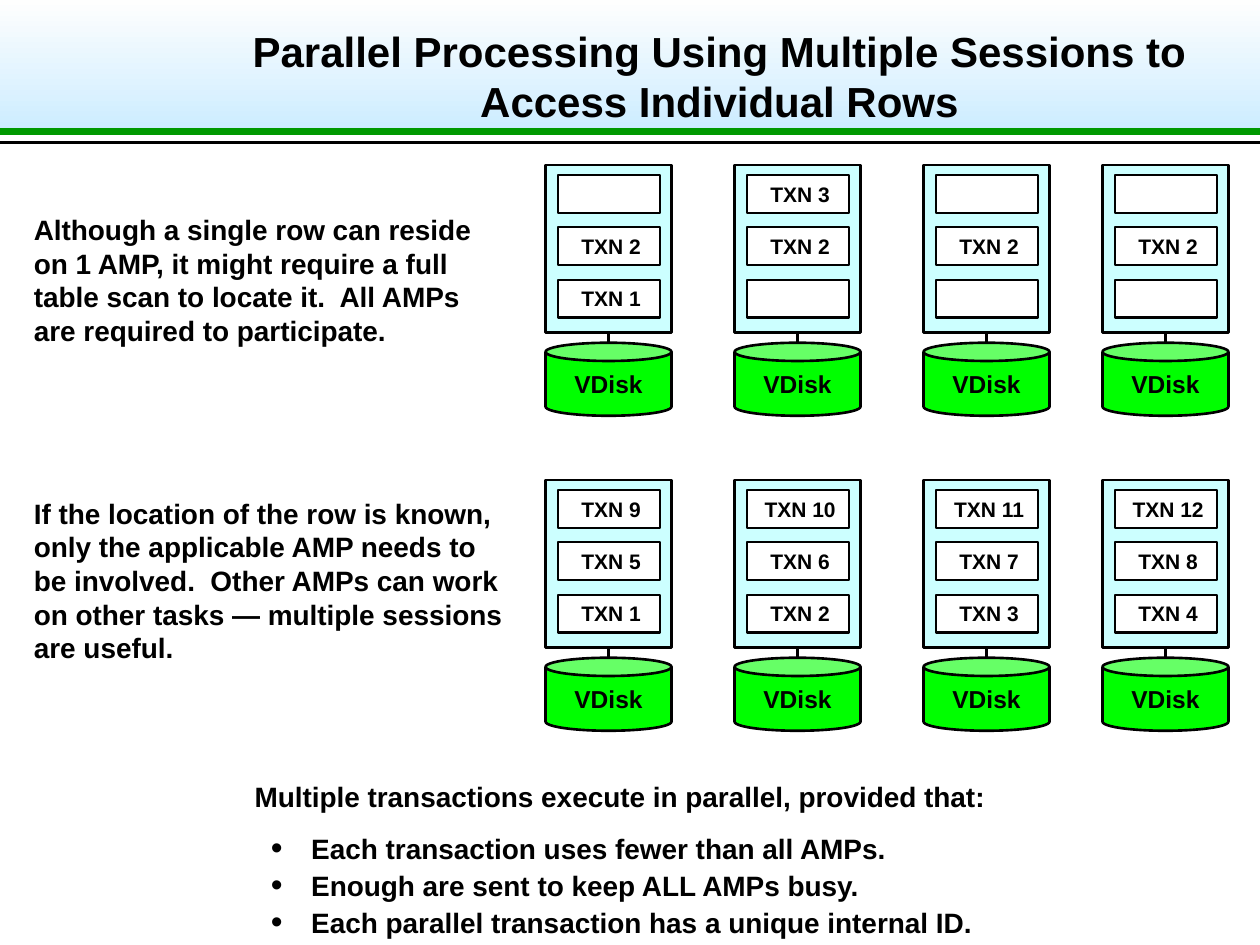
from lxml.etree import SubElement
from pptx import Presentation
from pptx.dml.color import RGBColor
from pptx.enum.shapes import MSO_CONNECTOR, MSO_SHAPE
from pptx.enum.text import MSO_ANCHOR, MSO_AUTO_SIZE, PP_ALIGN
from pptx.oxml.ns import qn
from pptx.util import Inches, Pt

BLACK = RGBColor(0x00, 0x00, 0x00)
WHITE = RGBColor(0xFF, 0xFF, 0xFF)
BAND_TOP = RGBColor(0xFE, 0xFE, 0xFE)
BAND_BOTTOM = RGBColor(0xCC, 0xEC, 0xFF)
RULE_GREEN = RGBColor(0x00, 0x99, 0x00)
AMP_CYAN = RGBColor(0xCC, 0xFF, 0xFF)
DISK_GREEN = RGBColor(0x00, 0xFF, 0x00)

TITLE = "Parallel Processing Using Multiple Sessions to Access Individual Rows"
CONDITIONS_INTRO = "Multiple transactions execute in parallel, provided that:"
CONDITIONS = [
    "Each transaction uses fewer than all AMPs.",
    "Enough are sent to keep ALL AMPs busy.",
    "Each parallel transaction has a unique internal ID.",
]
# Each scenario: top of its AMPs, note, note box, and the slots of each AMP from top to bottom
SCENARIOS = [
    (1.31,
     "Although a single row can reside on 1 AMP, it might require a full table scan "
     "to locate it.  All AMPs are required to participate.",
     (0.17, 1.64, 3.83, 1.17),
     [("", "TXN 2", "TXN 1"), ("TXN 3", "TXN 2", ""), ("", "TXN 2", ""), ("", "TXN 2", "")]),
    (3.81,
     "If the location of the row is known, only the applicable AMP needs to be involved.  "
     "Other AMPs can work on other tasks — multiple sessions are useful.",
     (0.17, 3.89, 3.92, 1.44),
     [("TXN 9", "TXN 5", "TXN 1"), ("TXN 10", "TXN 6", "TXN 2"),
      ("TXN 11", "TXN 7", "TXN 3"), ("TXN 12", "TXN 8", "TXN 4")]),
]
AMP_LEFTS = [4.33, 5.83, 7.33, 8.75]
AMP_W, AMP_H = 1, 1.33
SLOT_W, SLOT_H = 0.81, 0.3
SLOT_DX, SLOT_DY, SLOT_PITCH = 0.1, 0.08, 0.415
DISK_GAP, DISK_H = 0.08, 0.58


def place(shape, *box):
    shape.left, shape.top, shape.width, shape.height = map(Inches, box)


def add_run(p, text, size):
    r = p.add_run()
    r.text = text
    r.font.name = "Arial"
    r.font.size = Pt(size)
    r.font.bold = True
    r.font.color.rgb = BLACK


def add_box(s, kind, box, fill, weight, text="", size=12):
    """Add a filled, black-outlined shape with an optional centred label."""
    sp = s.shapes.add_shape(kind, *map(Inches, box))
    sp.shadow.inherit = False
    sp.fill.solid()
    sp.fill.fore_color.rgb = fill
    sp.line.color.rgb = BLACK
    sp.line.width = Pt(weight)
    if text:
        tf = sp.text_frame
        tf.word_wrap = False
        tf.vertical_anchor = MSO_ANCHOR.MIDDLE
        tf.paragraphs[0].alignment = PP_ALIGN.CENTER
        add_run(tf.paragraphs[0], text, size)
    return sp


def add_line(s, x1, y1, x2, y2, color, weight):
    line = s.shapes.add_connector(MSO_CONNECTOR.STRAIGHT, *map(Inches, (x1, y1, x2, y2)))
    line.line.color.rgb = color
    line.line.width = Pt(weight)
    SubElement(line._element.spPr, qn("a:effectLst"))
    return line


def set_bullet(p, left=0, hanging=0, char=None):
    """Set the indents and the bullet of a paragraph; no char means no bullet."""
    pPr = p._p.get_or_add_pPr()
    pPr.set("marL", str(Inches(left)))
    pPr.set("indent", str(-Inches(hanging)))
    if char:
        color = SubElement(pPr, qn("a:buClr"))
        SubElement(color, qn("a:srgbClr"), val=str(BLACK))
        SubElement(pPr, qn("a:buSzPct"), val="120000")
        SubElement(pPr, qn("a:buFont"), typeface="Arial")
        SubElement(pPr, qn("a:buChar"), char=char)
    else:
        SubElement(pPr, qn("a:buNone"))


def add_header(s):
    band = s.shapes.add_shape(MSO_SHAPE.RECTANGLE, 0, 0, Inches(10), Inches(1.05))
    band.shadow.inherit = False
    band.line.fill.background()
    band.fill.gradient()
    band.fill.gradient_angle = 270
    for stop, color in zip(band.fill.gradient_stops, (BAND_TOP, BAND_BOTTOM)):
        stop.color.rgb = color
    rules = [add_line(s, 0, 1.13, 10, 1.13, BLACK, 2),
             add_line(s, 0, 1.04, 10, 1.04, RULE_GREEN, 4)]

    title = s.shapes.title
    for part in [band, *rules]:
        title._element.addprevious(part._element)  # keep the title in front
    place(title, 1.75, 0.14, 7.92, 0.92)
    tf = title.text_frame
    tf.auto_size = MSO_AUTO_SIZE.NONE
    tf.vertical_anchor = MSO_ANCHOR.MIDDLE
    tf.paragraphs[0].alignment = PP_ALIGN.CENTER
    add_run(tf.paragraphs[0], TITLE, 24)


def add_note(s, text, box):
    tf = s.shapes.add_textbox(*map(Inches, box)).text_frame
    tf.word_wrap = True
    add_run(tf.paragraphs[0], text, 16)


def add_amp(s, left, top, slots):
    """Add one AMP with its transaction slots and the disk below it."""
    add_box(s, MSO_SHAPE.RECTANGLE, (left, top, AMP_W, AMP_H), AMP_CYAN, 1.5)
    for i, label in enumerate(slots):
        box = (left + SLOT_DX, top + SLOT_DY + i * SLOT_PITCH, SLOT_W, SLOT_H)
        slot = add_box(s, MSO_SHAPE.RECTANGLE, box, WHITE, 1.25, label)
        slot.text_frame.margin_left = Inches(0.13)
    bottom, middle = top + AMP_H, left + AMP_W / 2
    disk_top = bottom + DISK_GAP
    add_line(s, middle, bottom, middle, disk_top, BLACK, 1.5)
    add_box(s, MSO_SHAPE.CAN, (left, disk_top, AMP_W, DISK_H), DISK_GREEN, 1.5, "VDisk", 14)


def add_conditions(s):
    body = s.placeholders[1]
    place(body, 1.92, 6.14, 6.5, 1.36)
    tf = body.text_frame
    tf.auto_size = MSO_AUTO_SIZE.NONE
    tf.vertical_anchor = MSO_ANCHOR.TOP
    p = tf.paragraphs[0]
    set_bullet(p)
    p.space_before = Pt(0)
    add_run(p, CONDITIONS_INTRO, 16)
    for i, text in enumerate(CONDITIONS):
        p = tf.add_paragraph()
        p.level = 1
        set_bullet(p, 0.45, 0.32, "•")
        p.space_before = Pt(2 if i else 10)
        add_run(p, text, 16)


def main():
    prs = Presentation()
    prs.slide_width, prs.slide_height = Inches(10), Inches(7.5)
    s = prs.slides.add_slide(prs.slide_layouts[1])
    add_header(s)
    for top, note, note_box, amps in SCENARIOS:
        add_note(s, note, note_box)
        for left, slots in zip(AMP_LEFTS, amps):
            add_amp(s, left, top, slots)
    add_conditions(s)
    prs.save("out.pptx")


if __name__ == "__main__":
    main()
